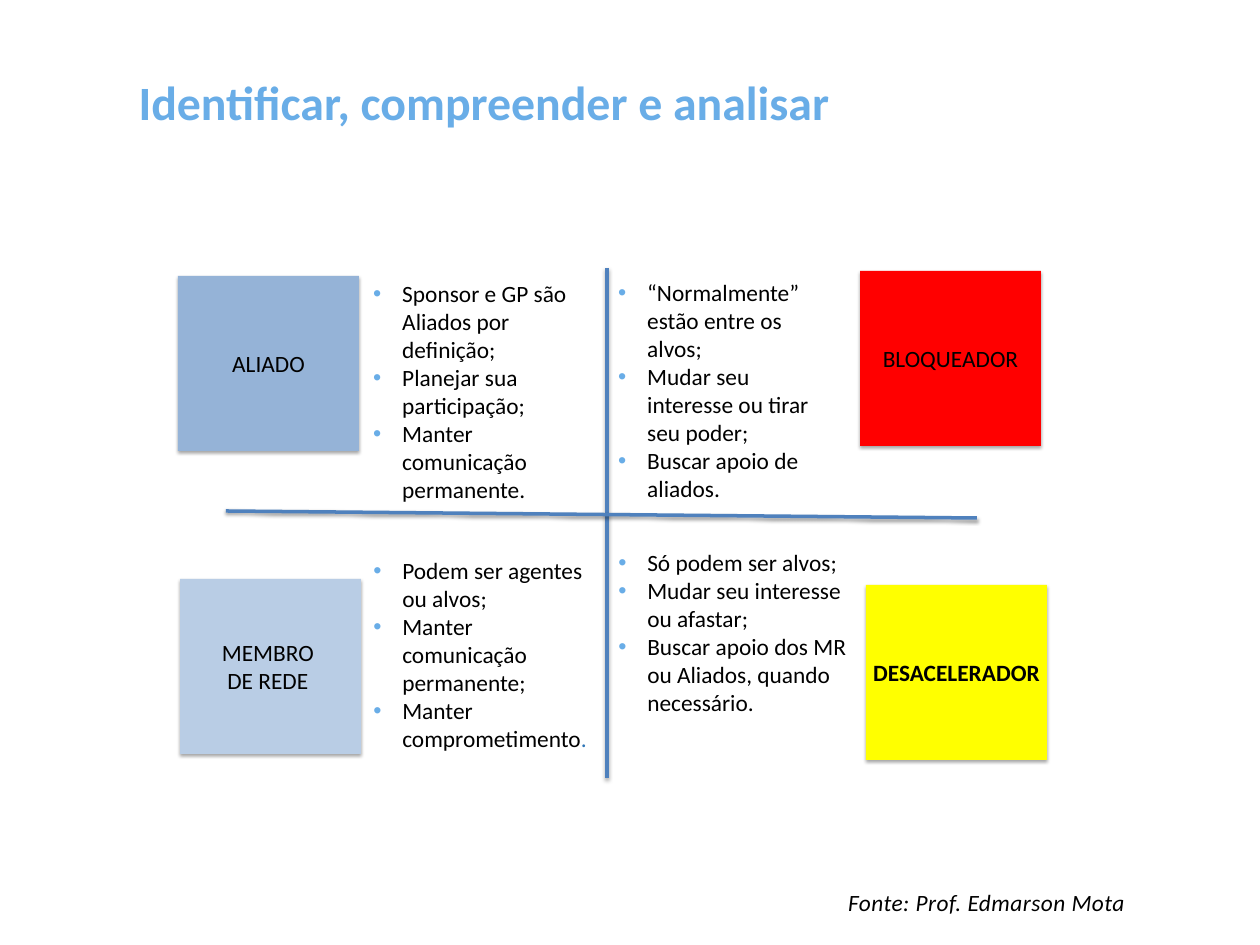
"""Build a four-quadrant stakeholder slide with profile boxes and bulleted advice."""
from dataclasses import dataclass

from lxml import etree
from pptx import Presentation
from pptx import util as u
from pptx.dml.color import RGBColor
from pptx.enum import shapes, text
from pptx.oxml import ns

EMU_PER_PX = 914400 / 84
BOX_WIDTH, BOX_HEIGHT = 181, 175
BULLET_INDENT = 29


@dataclass(frozen=True)
class Theme:
    """Colours, font and type sizes of the slide."""

    font: str = "Calibri"
    title_size: int = 41
    body_size: int = 20
    accent: str = "69ADE7"
    full_stop: str = "2E75B6"
    axis: str = "4F81BD"
    ink: str = "000000"
    ally: str = "95B3D7"
    blocker: str = "FF0000"
    network: str = "B9CDE5"
    slower: str = "FFFF00"


THEME = Theme()


@dataclass(frozen=True)
class Profile:
    """A coloured box naming one kind of stakeholder."""

    label: str
    left: int
    top: int
    fill: str
    bold: bool = False


@dataclass(frozen=True)
class Advice:
    """A bulleted list, with an optional coloured ending."""

    left: int
    top: int
    width: int
    height: int
    items: tuple[str, ...]
    ending: str = ""


@dataclass(frozen=True)
class Axis:
    """A straight line between two points."""

    start: tuple[int, int]
    end: tuple[int, int]


PROFILES = (
    Profile("ALIADO", 178, 276, THEME.ally),
    Profile("BLOQUEADOR", 860, 271, THEME.blocker),
    Profile("MEMBRO \nDE REDE ", 180, 579, THEME.network),
    Profile("DESACELERADOR", 866, 585, THEME.slower, bold=True),
)
AXES = (Axis((607, 268), (607, 778)), Axis((226, 511), (977, 518)))
ADVICE = (
    Advice(365, 275, 243, 260, (
        "Sponsor e GP são Aliados por definição;",
        "Planejar sua participação;",
        "Manter comunicação permanente.",
    )),
    Advice(610, 274, 237, 234, (
        "“Normalmente” estão entre os alvos;",
        "Mudar seu interesse ou tirar seu poder;",
        "Buscar apoio de aliados.",
    )),
    Advice(365, 552, 239, 232, (
        "Podem ser agentes ou alvos;",
        "Manter comunicação permanente;",
        "Manter comprometimento",
    ), ending="."),
    Advice(610, 544, 255, 203, (
        "Só podem ser alvos;",
        "Mudar seu interesse ou afastar;",
        "Buscar apoio dos MR ou Aliados, quando necessário.",
    )),
)


def px(length: int) -> u.Emu:
    """Turn pixels into EMU."""
    return u.Emu(round(length * EMU_PER_PX))


def format_run(run, size: int = THEME.body_size, color: str = THEME.ink,
               bold: bool = False, italic: bool = False) -> None:
    """Apply the font, size, colour and style to a run."""
    run.font.name = THEME.font
    run.font.size = u.Pt(size)
    run.font.color.rgb = RGBColor.from_string(color)
    run.font.bold = bold
    run.font.italic = italic


def add_shadow(shape, alpha: int, distance: float) -> None:
    """Give a shape or connector a soft shadow straight below it."""
    effects = etree.SubElement(shape.element.spPr, ns.qn("a:effectLst"))
    shadow = etree.SubElement(
        effects, ns.qn("a:outerShdw"), blurRad=str(u.Pt(3.1)),
        dist=str(u.Pt(distance)), dir="5400000", rotWithShape="0")
    color = etree.SubElement(shadow, ns.qn("a:srgbClr"), val=THEME.ink)
    etree.SubElement(color, ns.qn("a:alpha"), val=str(alpha * 1000))


def add_bullet(paragraph) -> None:
    """Give a paragraph a coloured bullet and a hanging indent."""
    properties = paragraph._p.get_or_add_pPr()
    properties.set("marL", str(px(BULLET_INDENT)))
    properties.set("indent", str(-px(BULLET_INDENT)))
    color = etree.SubElement(properties, ns.qn("a:buClr"))
    etree.SubElement(color, ns.qn("a:srgbClr"), val=THEME.accent)
    etree.SubElement(properties, ns.qn("a:buFont"), typeface="Arial")
    etree.SubElement(properties, ns.qn("a:buChar"), char="•")


def set_title(slide, title: str) -> None:
    """Place and format the title placeholder."""
    shape = slide.shapes.title
    shape.left, shape.top, shape.width, shape.height = map(px, (37, 80, 895, 50))
    frame = shape.text_frame
    frame.text = title
    frame.auto_size = text.MSO_AUTO_SIZE.NONE
    frame.vertical_anchor = text.MSO_ANCHOR.MIDDLE
    paragraph = frame.paragraphs[0]
    paragraph.alignment = text.PP_ALIGN.CENTER
    paragraph.line_spacing = 0.9
    format_run(paragraph.runs[0], THEME.title_size, THEME.accent, bold=True)


def draw_profile(slide, profile: Profile) -> None:
    """Draw a coloured box with its centred label."""
    shape = slide.shapes.add_shape(
        shapes.MSO_SHAPE.RECTANGLE,
        *map(px, (profile.left, profile.top, BOX_WIDTH, BOX_HEIGHT)))
    shape.fill.solid()
    shape.fill.fore_color.rgb = RGBColor.from_string(profile.fill)
    shape.line.fill.background()
    add_shadow(shape, 35, 1.8)
    frame = shape.text_frame
    frame.text = profile.label
    frame.word_wrap = False
    frame.vertical_anchor = text.MSO_ANCHOR.MIDDLE
    for paragraph in frame.paragraphs:
        paragraph.alignment = text.PP_ALIGN.CENTER
        format_run(paragraph.runs[0], bold=profile.bold)


def draw_axis(slide, axis: Axis) -> None:
    """Draw one of the lines that separate the quadrants."""
    connector = slide.shapes.add_connector(
        shapes.MSO_CONNECTOR.STRAIGHT, *map(px, axis.start + axis.end))
    connector.line.color.rgb = RGBColor.from_string(THEME.axis)
    connector.line.width = u.Pt(3)
    add_shadow(connector, 38, 1.6)


def draw_advice(slide, advice: Advice) -> None:
    """Draw the bulleted list of a quadrant."""
    shape = slide.shapes.add_textbox(
        *map(px, (advice.left, advice.top, advice.width, advice.height)))
    frame = shape.text_frame
    frame.word_wrap = True
    frame.auto_size = text.MSO_AUTO_SIZE.SHAPE_TO_FIT_TEXT
    frame.text = "\n".join(advice.items)
    for paragraph in frame.paragraphs:
        add_bullet(paragraph)
        format_run(paragraph.runs[0])
    if advice.ending:
        run = frame.paragraphs[-1].add_run()
        run.text = advice.ending
        format_run(run, color=THEME.full_stop)


def draw_credit(slide, credit: str) -> None:
    """Draw the italic source line at the bottom."""
    frame = slide.shapes.add_textbox(*map(px, (848, 882, 400, 34))).text_frame
    frame.word_wrap = True
    frame.vertical_anchor = text.MSO_ANCHOR.MIDDLE
    frame.margin_left = frame.margin_right = frame.margin_bottom = 0
    frame.margin_top = px(6)
    frame.text = credit
    run = frame.paragraphs[0].runs[0]
    format_run(run, italic=True)
    run.font._element.set("spc", "40")


def main() -> None:
    """Build and save the presentation."""
    presentation = Presentation()
    presentation.slide_width, presentation.slide_height = px(1260), px(945)
    slide = presentation.slides.add_slide(presentation.slide_layouts[5])
    set_title(slide, "Identificar, compreender e analisar")
    for draw, parts in ((draw_profile, PROFILES), (draw_axis, AXES), (draw_advice, ADVICE)):
        for part in parts:
            draw(slide, part)
    draw_credit(slide, "Fonte: Prof. Edmarson Mota")
    presentation.save("out.pptx")


if __name__ == "__main__":
    main()
